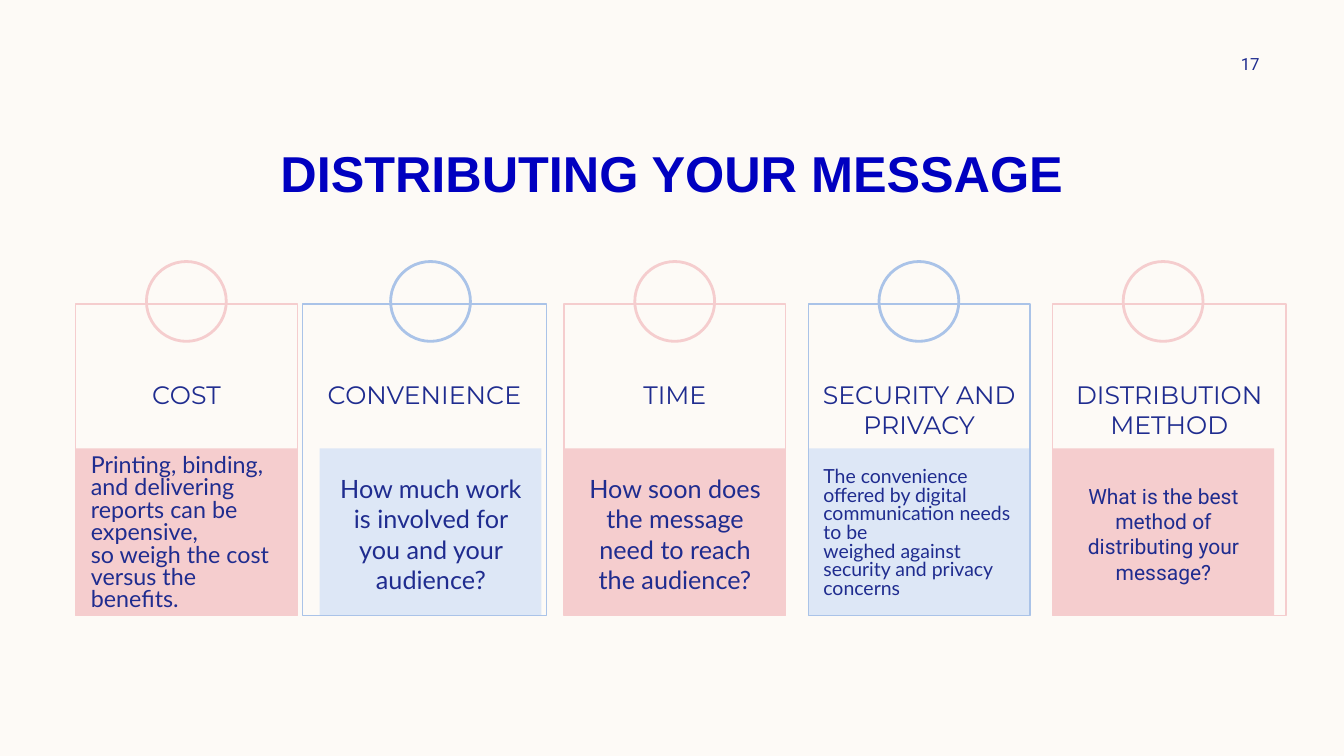
from dataclasses import dataclass

from pptx import Presentation
from pptx.dml.color import RGBColor
from pptx.enum import shapes, text
from pptx.util import Pt

CREAM = RGBColor(0xFD, 0xFA, 0xF6)
PINK = RGBColor(0xF5, 0xCD, 0xCE)
BLUE = RGBColor(0xAA, 0xC3, 0xE8)
PALE_BLUE = RGBColor(0xDD, 0xE7, 0xF6)
NAVY = RGBColor(0x1F, 0x2C, 0x8F)
TITLE_BLUE = RGBColor(0x00, 0x00, 0xC0)

LEFT, PITCH, PANEL_W = 54, 174.42, 158.4
RING_TOP, RING_SIZE = 186.8, 57
FRAME_TOP, FRAME_BOTTOM = 217.1, 439.8
PANEL_TOP = 320.2
OVAL, RECTANGLE = shapes.MSO_SHAPE.OVAL, shapes.MSO_SHAPE.RECTANGLE
TOP, MIDDLE, BOTTOM = text.MSO_ANCHOR.TOP, text.MSO_ANCHOR.MIDDLE, text.MSO_ANCHOR.BOTTOM
ALIGN_LEFT, CENTER, ALIGN_RIGHT = text.PP_ALIGN.LEFT, text.PP_ALIGN.CENTER, text.PP_ALIGN.RIGHT


@dataclass
class Card:
    heading: str
    paragraphs: list
    frame_left: float
    frame_width: float
    size: float = 18
    font: str = "Lato"
    align: text.PP_ALIGN = CENTER
    spacing: float = 1.0


CARDS = [
    Card("COST",
         ["Printing, binding, and delivering reports can be expensive,",
          "so weigh the cost versus the benefits."],
         54, 158.4, 16.65, align=ALIGN_LEFT, spacing=0.8),
    Card("CONVENIENCE", ["How much work is involved for you and your audience?"],
         216, 174.2),
    Card("TIME", ["How soon does the message need to reach the audience?"],
         402.9, 158.4),
    Card("SECURITY AND PRIVACY",
         ["The convenience offered by digital communication needs to be",
          "weighed against security and privacy concerns"],
         577.4, 158.4, 13.9, align=ALIGN_LEFT, spacing=0.8),
    Card("DISTRIBUTION METHOD",
         ["What is the best method of distributing your message?"],
         751.7, 167, 15, "Roboto"),
]


def write(tf, paragraphs, size, font, align, anchor, color=NAVY, bold=False, spacing=1.0):
    tf.word_wrap = True
    tf.auto_size = text.MSO_AUTO_SIZE.NONE
    tf.vertical_anchor = anchor
    for i, words in enumerate(paragraphs):
        p = tf.add_paragraph() if i else tf.paragraphs[0]
        p.alignment = align
        p.line_spacing = spacing
        r = p.add_run()
        r.text = words
        r.font.size, r.font.name, r.font.bold = Pt(size), font, bold
        r.font.color.rgb = color


def add_preset(slide, kind, left, top, width, height, fill=None, line=None, weight=1):
    sp = slide.shapes.add_shape(kind, Pt(left), Pt(top), Pt(width), Pt(height))
    sp.shadow.inherit = False
    if fill is None:
        sp.fill.background()
    else:
        sp.fill.solid()
        sp.fill.fore_color.rgb = fill
    if line is None:
        sp.line.fill.background()
    else:
        sp.line.color.rgb = line
        sp.line.width = Pt(weight)
    return sp


def add_text(slide, left, top, width, height, *args, **kwargs):
    box = slide.shapes.add_textbox(Pt(left), Pt(top), Pt(width), Pt(height))
    write(box.text_frame, *args, **kwargs)
    return box


def add_card(slide, index, card):
    left = LEFT + index * PITCH
    line, fill = (BLUE, PALE_BLUE) if index % 2 else (PINK, PINK)
    add_preset(slide, OVAL, left + 50.6, RING_TOP, RING_SIZE, RING_SIZE, line=line, weight=2)
    add_preset(slide, RECTANGLE, left, PANEL_TOP, PANEL_W, FRAME_BOTTOM - PANEL_TOP, fill=fill)
    frame = add_preset(slide, RECTANGLE, card.frame_left, FRAME_TOP, card.frame_width,
                       FRAME_BOTTOM - FRAME_TOP, line=line)
    frame.text_frame.margin_top = Pt(54)
    write(frame.text_frame, [card.heading], 18, "Montserrat", CENTER, TOP)
    add_text(slide, left + 3.8, 327.4, 151.2, 108, card.paragraphs, card.size, card.font,
             card.align, MIDDLE, spacing=card.spacing)


def add_title(slide, words):
    title = slide.shapes.title
    title.left, title.top, title.width, title.height = Pt(60), Pt(55.4), Pt(840), Pt(92.9)
    write(title.text_frame, [words], 36, "Arial", CENTER, BOTTOM, color=TITLE_BLUE, bold=True)


def add_page_number(slide, number):
    box = add_text(slide, 822, 36, 77.8, 19.4, [number], 12, "Roboto", ALIGN_RIGHT, MIDDLE)
    box.text_frame.margin_right = 0


def main():
    prs = Presentation()
    prs.slide_width, prs.slide_height = Pt(960), Pt(540)
    slide = prs.slides.add_slide(prs.slide_layouts[5])
    slide.background.fill.solid()
    slide.background.fill.fore_color.rgb = CREAM
    add_title(slide, "DISTRIBUTING YOUR MESSAGE")
    add_page_number(slide, "17")
    for index, card in enumerate(CARDS):
        add_card(slide, index, card)
    prs.save("out.pptx")


if __name__ == "__main__":
    main()
